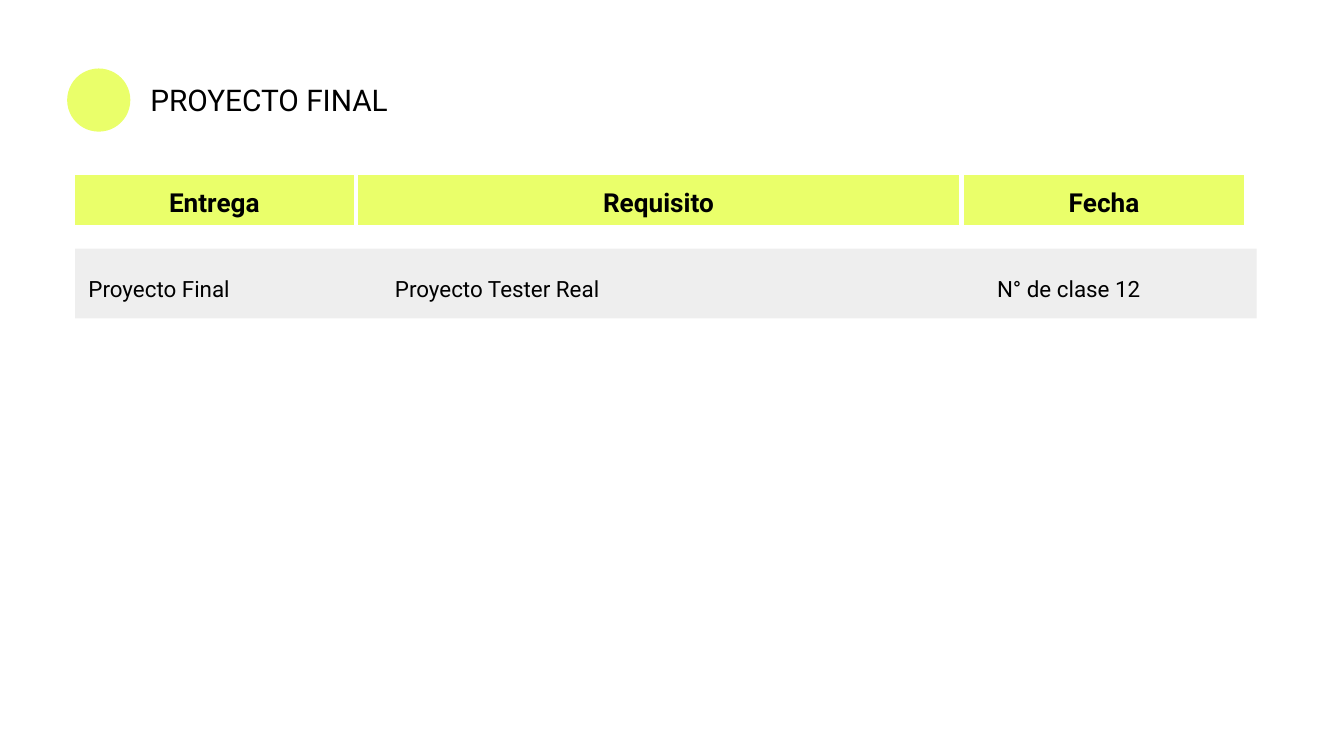
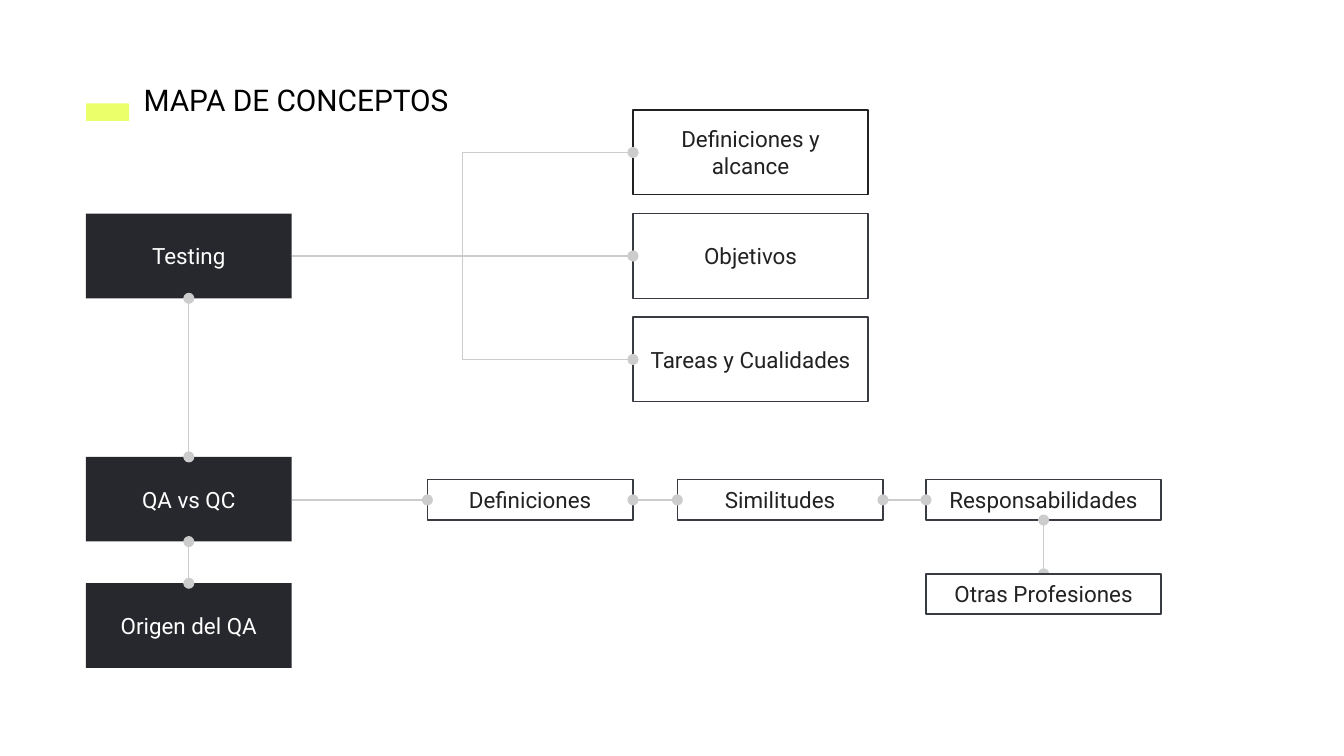
import dataclasses
import itertools
from typing import Any, Optional

import lxml.etree
import pptx
import pptx.dml.color
import pptx.enum.shapes
import pptx.enum.text
import pptx.oxml.ns
import pptx.util

Inches = pptx.util.Inches
SHAPE = pptx.enum.shapes.MSO_SHAPE
LINK = pptx.enum.shapes.MSO_CONNECTOR
ALIGN = pptx.enum.text.PP_ALIGN
ANCHOR = pptx.enum.text.MSO_ANCHOR
SIZE = pptx.enum.text.MSO_AUTO_SIZE

LIME, DARK, WHITE, BLACK = "EAFF6A", "27282D", "FFFFFF", "000000"
PALE, GREY, SLATE, INK, COAL = "EEEEEE", "CCCCCC", "393B43", "222222", "212121"
FACE = "Roboto"


@dataclasses.dataclass(frozen=True)
class Look:
    fill: Optional[str] = None
    edge: Optional[str] = None
    edge_pt: float = 0.75
    color: str = BLACK
    size: int = 12
    bold: bool = False
    align: Any = ALIGN.CENTER
    anchor: Any = ANCHOR.MIDDLE
    space: Optional[float] = None
    fit: Any = SIZE.NONE


@dataclasses.dataclass(frozen=True)
class Box:
    left: float
    top: float
    width: float
    height: float
    look: Look
    text: str = ""
    form: Any = SHAPE.RECTANGLE


@dataclasses.dataclass(frozen=True)
class Wire:
    x1: float
    y1: float
    x2: float
    y2: float
    head: bool = True
    kind: Any = LINK.STRAIGHT


ACCENT = Look(fill=LIME)
BAND = Look(fill=PALE)
TITLE = Look(size=16, align=ALIGN.LEFT, anchor=ANCHOR.TOP, fit=SIZE.SHAPE_TO_FIT_TEXT)
HEAD = Look(fill=LIME, edge=WHITE, edge_pt=2.25, size=14, bold=True, anchor=ANCHOR.TOP)
ENTRY = Look(align=ALIGN.LEFT, anchor=ANCHOR.TOP, space=1.15)
TOPIC = Look(fill=DARK, color=WHITE)
LEAF = Look(fill=WHITE, edge=SLATE, color=INK)
CLEAR = dataclasses.replace(LEAF, fill=None)
FIRST = dataclasses.replace(LEAF, edge=COAL, color=COAL)


def tint(code: str) -> pptx.dml.color.RGBColor:
    return pptx.dml.color.RGBColor.from_string(code)


def apply(target: Any, values: dict[str, Any]) -> None:
    for name, value in values.items():
        setattr(target, name, value)


def paint(fill: Any, code: Optional[str]) -> None:
    if code is None:
        fill.background()
    else:
        fill.solid()
        fill.fore_color.rgb = tint(code)


def write(shape: Any, text: str, look: Look) -> None:
    frame = shape.text_frame
    gap = Inches(0.1)
    apply(frame, {"word_wrap": True, "auto_size": look.fit, "vertical_anchor": look.anchor,
                  "margin_left": gap, "margin_right": gap,
                  "margin_top": gap, "margin_bottom": gap})
    para = frame.paragraphs[0]
    apply(para, {"alignment": look.align, "line_spacing": look.space})
    run = para.add_run()
    run.text = text
    apply(run.font, {"name": FACE, "size": pptx.util.Pt(look.size), "bold": look.bold})
    run.font.color.rgb = tint(look.color)


def draw(slide: Any, box: Box) -> None:
    place = [Inches(v) for v in (box.left, box.top, box.width, box.height)]
    look = box.look
    if look.fill or look.edge:
        shape = slide.shapes.add_shape(box.form, *place)
        shape.shadow.inherit = False
        paint(shape.fill, look.fill)
        paint(shape.line.fill, look.edge)
        if look.edge:
            shape.line.width = pptx.util.Pt(look.edge_pt)
    else:
        shape = slide.shapes.add_textbox(*place)
    if box.text:
        write(shape, box.text, look)


def join(slide: Any, wire: Wire) -> None:
    ends = [Inches(v) for v in (wire.x1, wire.y1, wire.x2, wire.y2)]
    link = slide.shapes.add_connector(wire.kind, *ends)
    paint(link.line.fill, GREY)
    link.line.width = pptx.util.Pt(0.75)
    qn = pptx.oxml.ns.qn
    edge = link._element.spPr.find(qn("a:ln"))
    for tag in ("a:headEnd", "a:tailEnd") if wire.head else ("a:tailEnd",):
        lxml.etree.SubElement(edge, qn(tag), type="oval")
    lxml.etree.SubElement(link._element.spPr, qn("a:effectLst"))


def start(deck: Any, title: str, left: float, mark: Box) -> Any:
    slide = deck.slides.add_slide(deck.slide_layouts[6])
    draw(slide, mark)
    draw(slide, Box(left, 0.51, 2.69, 0.47, TITLE, title))
    return slide


def final(deck: Any) -> None:
    mark = Box(0.5, 0.51, 0.47, 0.47, ACCENT, form=SHAPE.OVAL)
    slide = start(deck, "PROYECTO FINAL", 1.02, mark)
    draw(slide, Box(0.56, 1.85, 8.79, 0.52, BAND))
    for left, wide, text in (
        (0.54, 2.11, "Entrega"),
        (2.65, 4.5, "Requisito"),
        (7.16, 2.11, "Fecha"),
    ):
        draw(slide, Box(left, 1.29, wide, 0.4, HEAD, text))
    for left, wide, text in (
        (0.56, 2.11, "Proyecto Final"),
        (2.84, 4.18, "Proyecto Tester Real"),
        (7.32, 2.11, "N° de clase 12"),
    ):
        draw(slide, Box(left, 1.92, wide, 0.46, ENTRY, text))


def concepts(deck: Any) -> None:
    slide = start(deck, "MAPA DE CONCEPTOS", 0.97, Box(0.64, 0.77, 0.32, 0.13, ACCENT))
    left, wide, broad, tall, low = 0.64, 1.53, 1.75, 0.63, 0.3
    right, mid = left + wide, left + wide / 2
    tops = (1.59, 3.4, 4.34)
    for top, text in zip(tops, ("Testing", "QA vs QC", "Origen del QA")):
        draw(slide, Box(left, top, wide, tall, TOPIC, text))
    for upper, lower in itertools.pairwise(tops):
        join(slide, Wire(mid, upper + tall, mid, lower))

    goals = (("Definiciones y alcance", FIRST), ("Objetivos", CLEAR),
             ("Tareas y Cualidades", CLEAR))
    goal_x, step = 4.71, 0.77
    root = tops[0] + tall / 2
    for row, (text, look) in enumerate(goals):
        draw(slide, Box(goal_x, 0.82 + row * step, broad, tall, look, text))
    for row in range(len(goals)):
        join(slide, Wire(right, root, goal_x, root + (row - 1) * step, False, LINK.ELBOW))

    row_y = 3.57
    axis = row_y + low / 2
    steps = ((3.18, wide, "Definiciones"), (5.04, wide, "Similitudes"),
             (6.89, broad, "Responsabilidades"))
    for x, span, text in steps:
        draw(slide, Box(x, row_y, span, low, LEAF, text))
    tail = right
    for x, span, _ in steps:
        join(slide, Wire(tail, axis, x, axis, tail > right))
        tail = x + span
    last = steps[-1][0]
    join(slide, Wire(last + broad / 2, row_y + low, last + broad / 2, 4.27))
    draw(slide, Box(last, 4.27, broad, low, LEAF, "Otras Profesiones"))


def main() -> None:
    deck = pptx.Presentation()
    wide = Inches(10)
    apply(deck, {"slide_width": wide, "slide_height": wide * 9 // 16})
    final(deck)
    concepts(deck)
    deck.save("out.pptx")


if __name__ == "__main__":
    main()
